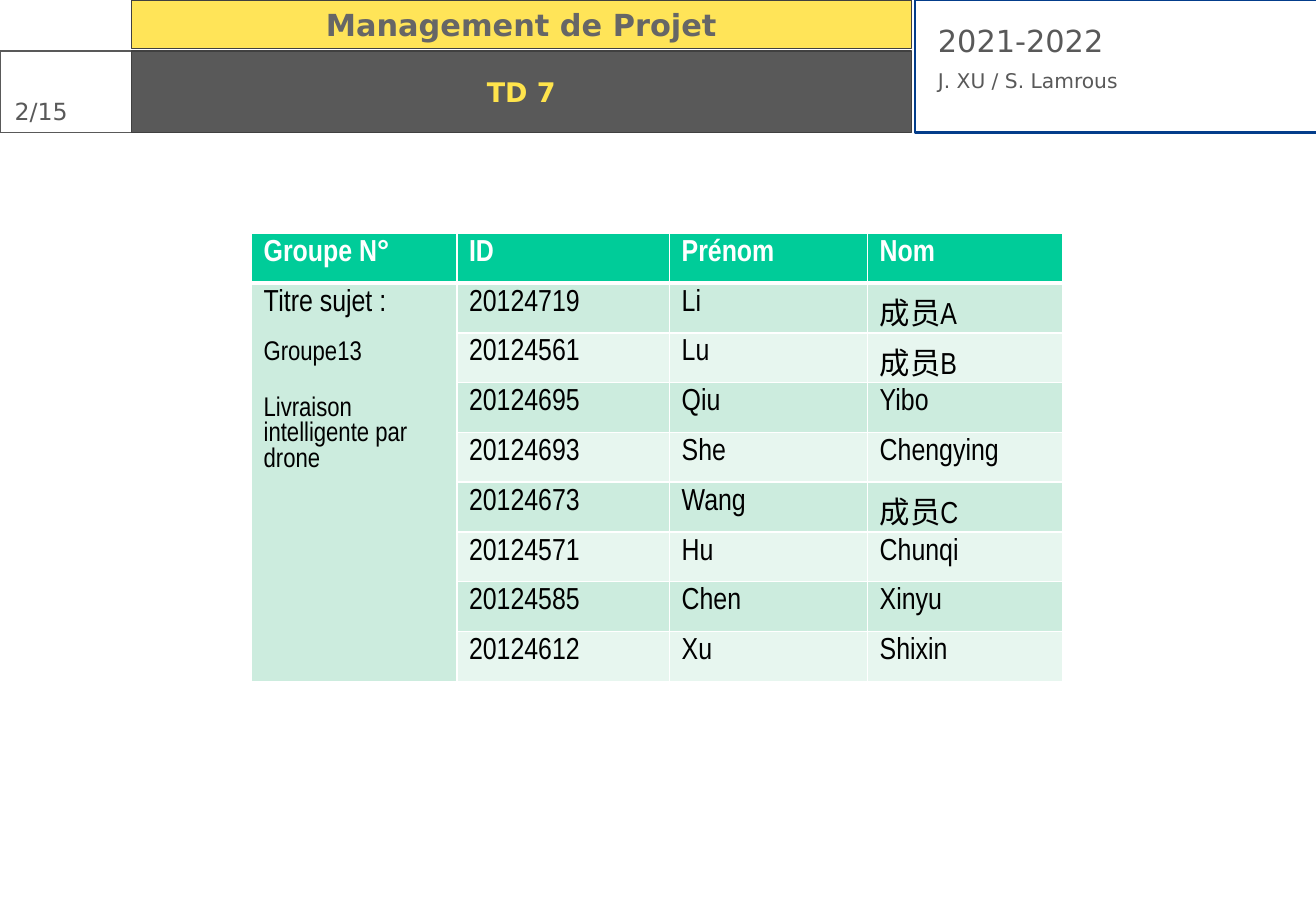
from dataclasses import dataclass

from lxml import etree
from pptx import Presentation
from pptx.dml.color import RGBColor
from pptx.enum.shapes import MSO_SHAPE
from pptx.enum.text import MSO_ANCHOR, PP_ALIGN
from pptx.oxml.ns import qn
from pptx.util import Inches, Pt

RECTANGLE = MSO_SHAPE.RECTANGLE
TOP, MIDDLE = MSO_ANCHOR.TOP, MSO_ANCHOR.MIDDLE
LEFT, CENTER = PP_ALIGN.LEFT, PP_ALIGN.CENTER


@dataclass(frozen=True)
class Theme:
    header_font: str = "DejaVu Sans"
    table_font: str = "Arial Narrow"
    white: str = "FFFFFF"
    black: str = "000000"
    gray: str = "595959"
    course_gray: str = "666666"
    dark_line: str = "404040"
    blue: str = "033D8B"
    yellow: str = "FFD912"
    pale_yellow: str = "FFE44C"
    green: str = "00CC99"
    bands: tuple = ("CCECDE", "E7F6EF")
    large: int = 18
    title: int = 16
    page: int = 14
    small: int = 12


THEME = Theme()
COLUMN_WIDTHS = (1.69, 1.75, 1.63, 1.61)
ROW_HEIGHT = 0.41
HEADINGS = ("Groupe N°", "ID", "Prénom", "Nom")
SUBJECT = (
    ("Titre sujet :", THEME.large, 0),
    ("Groupe13", THEME.title, 14),
    ("Livraison intelligente par drone", THEME.title, 18),
)
MEMBERS = (
    ("20124719", "Li", "成员A"),
    ("20124561", "Lu", "成员B"),
    ("20124695", "Qiu", "Yibo"),
    ("20124693", "She", "Chengying"),
    ("20124673", "Wang", "成员C"),
    ("20124571", "Hu", "Chunqi"),
    ("20124585", "Chen", "Xinyu"),
    ("20124612", "Xu", "Shixin"),
)


def style_paragraph(paragraph, text, size, color, font, bold=False, align=LEFT):
    paragraph.text = text
    paragraph.alignment = align
    paragraph.font.name = font
    paragraph.font.size = Pt(size)
    paragraph.font.bold = bold
    paragraph.font.color.rgb = RGBColor.from_string(color)


def add_panel(slide, left, top, width, height, line, weight, fill=None):
    shape = slide.shapes.add_shape(
        RECTANGLE, Inches(left), Inches(top), Inches(width), Inches(height)
    )
    shape.shadow.inherit = False
    shape.line.color.rgb = RGBColor.from_string(line)
    shape.line.width = Pt(weight)
    if fill:
        shape.fill.solid()
        shape.fill.fore_color.rgb = RGBColor.from_string(fill)
    else:
        shape.fill.background()
    return shape


def add_banner(slide, left, top, width, height, fill, text, size, color):
    shape = add_panel(slide, left, top, width, height, THEME.dark_line, 0.75, fill)
    shape.text_frame.vertical_anchor = MIDDLE
    style_paragraph(
        shape.text_frame.paragraphs[0], text, size, color, THEME.header_font, True, CENTER
    )
    return shape


def add_label(slide, left, top, width, height, lines, space_after=0):
    box = slide.shapes.add_textbox(
        Inches(left), Inches(top), Inches(width), Inches(height)
    )
    frame = box.text_frame
    frame.word_wrap = True
    for index, (text, size) in enumerate(lines):
        paragraph = frame.add_paragraph() if index else frame.paragraphs[0]
        paragraph.space_after = Pt(space_after)
        style_paragraph(paragraph, text, size, THEME.gray, THEME.header_font)
    return frame


def add_header(slide, left, top, width, height):
    page_width, banner_width, course_height = 1.08, 6.42, 0.4
    title_top = top + 0.42
    title_height = height - 0.42
    banner_left = left + page_width
    info_left = left + 7.53

    add_panel(slide, info_left, top, width - 7.53, height, THEME.blue, 1.5)
    info_lines = (("2021-2022", THEME.large), ("J. XU / S. Lamrous", THEME.small))
    add_label(slide, info_left + 0.09, top + 0.13, 3.17, 0.69, info_lines, 6)

    course = add_banner(
        slide, banner_left, top, banner_width, course_height,
        THEME.yellow, "Management de Projet", THEME.large, THEME.course_gray,
    )
    fill_color = course.fill._xPr.find(qn("a:solidFill"))[0]
    etree.SubElement(fill_color, qn("a:alpha"), val="70000")

    page_frame = add_label(
        slide, left, top + 0.75, page_width, 0.34, (("2/15", THEME.page),)
    )
    page_frame.margin_left, page_frame.margin_right = Inches(0.12), 0
    add_panel(slide, left, title_top, page_width, title_height, THEME.gray, 0.75)
    add_banner(
        slide, banner_left, title_top, banner_width, title_height,
        THEME.gray, "TD 7", THEME.title, THEME.pale_yellow,
    )


def style_cell(cell, fill, bottom_weight=1):
    properties = cell._tc.get_or_add_tcPr()
    for side in ("lnL", "lnR", "lnT", "lnB"):
        weight = bottom_weight if side == "lnB" else 1
        line = etree.SubElement(properties, qn(f"a:{side}"), w=str(Pt(weight)))
        solid = etree.SubElement(line, qn("a:solidFill"))
        etree.SubElement(solid, qn("a:srgbClr"), val=THEME.white)
    cell.fill.solid()
    cell.fill.fore_color.rgb = RGBColor.from_string(fill)
    cell.vertical_anchor = TOP


def add_group_table(slide, left, top, width, height):
    table = slide.shapes.add_table(
        len(MEMBERS) + 1, len(HEADINGS),
        Inches(left), Inches(top), Inches(width), Inches(height),
    ).table
    for column, column_width in zip(table.columns, COLUMN_WIDTHS):
        column.width = Inches(column_width)
    for row in table.rows:
        row.height = Inches(ROW_HEIGHT)

    for column, heading in enumerate(HEADINGS):
        cell = table.cell(0, column)
        style_cell(cell, THEME.green, 3)
        style_paragraph(
            cell.text_frame.paragraphs[0], heading, THEME.large,
            THEME.white, THEME.table_font, True,
        )

    for index, member in enumerate(MEMBERS):
        style_cell(table.cell(index + 1, 0), THEME.bands[0])
        for column, text in enumerate(member, 1):
            cell = table.cell(index + 1, column)
            style_cell(cell, THEME.bands[index % 2])
            style_paragraph(
                cell.text_frame.paragraphs[0], text, THEME.large,
                THEME.black, THEME.table_font,
            )

    subject = table.cell(1, 0)
    subject.merge(table.cell(len(MEMBERS), 0))
    frame = subject.text_frame
    for index, (text, size, space_before) in enumerate(SUBJECT):
        paragraph = frame.add_paragraph() if index else frame.paragraphs[0]
        style_paragraph(paragraph, text, size, THEME.black, THEME.table_font)
        if space_before:
            paragraph.space_before = Pt(space_before)


def main():
    presentation = Presentation()
    presentation.slide_width = Inches(10.83)
    presentation.slide_height = Inches(7.5)
    slide = presentation.slides.add_slide(presentation.slide_layouts[6])
    add_header(slide, 0, 0, 10.84, 1.09)
    add_group_table(
        slide, 2.07, 1.92, sum(COLUMN_WIDTHS), ROW_HEIGHT * (len(MEMBERS) + 1)
    )
    presentation.save("out.pptx")


if __name__ == "__main__":
    main()
